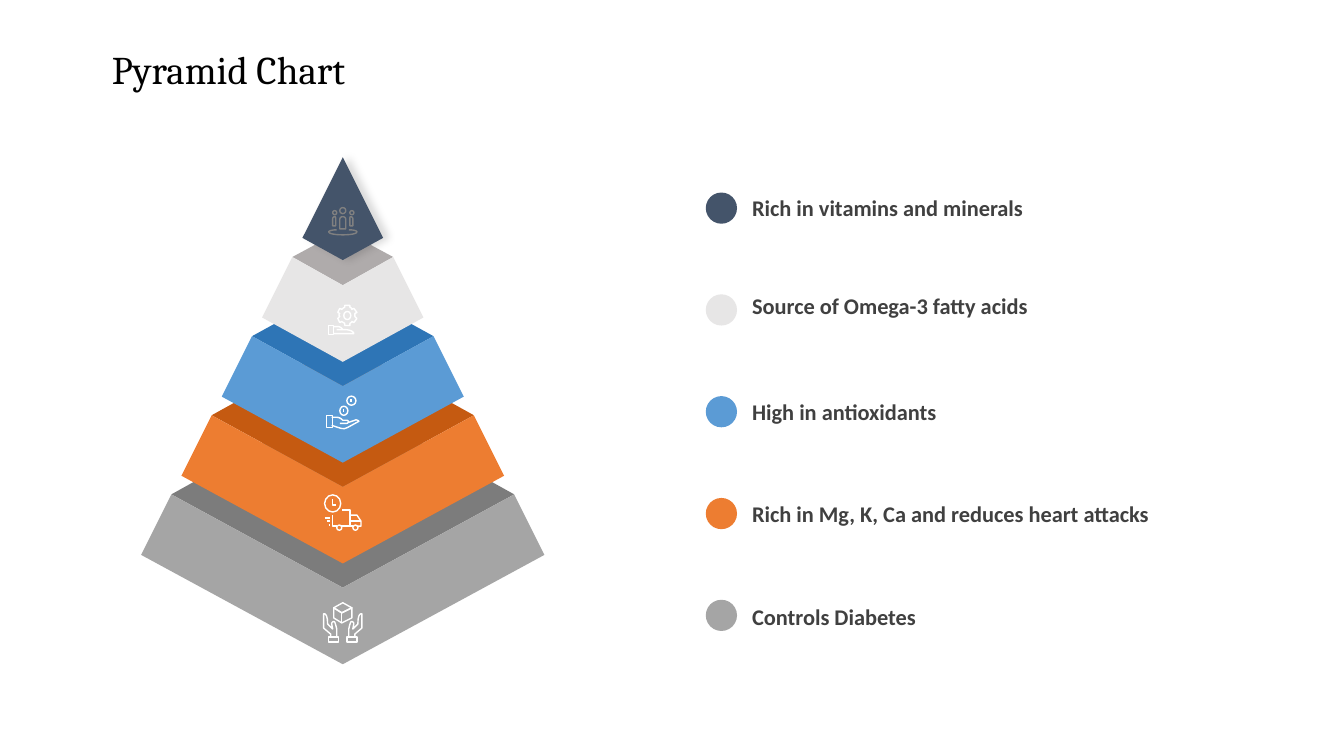
import typing

import lxml.etree
import pptx
import pptx.dml.color
import pptx.enum.shapes
import pptx.oxml
import pptx.oxml.ns
import pptx.shapes.autoshape
import pptx.shapes.shapetree
import pptx.util

Inches = pptx.util.Inches
Kind = pptx.enum.shapes.MSO_SHAPE
Tree = pptx.shapes.shapetree.SlideShapes
Shape = pptx.shapes.autoshape.Shape
Point = tuple[float, float]
Frame = tuple[float, float, float, float]

COLORS = {
    "navy": "44546A", "light": "E7E6E6", "blue": "5B9BD5", "orange": "ED7D31",
    "gray": "A5A5A5", "light lid": "AFABAB", "blue lid": "2E75B6",
    "orange lid": "C55A11", "gray lid": "7C7C7C", "text": "404040",
    "black": "000000", "white": "FFFFFF", "dim": "808080",
}
MID = 3.4


class Label(typing.NamedTuple):
    color: str
    text: str
    top: float


class Icon(typing.NamedTuple):
    color: str
    rings: list[Frame]
    boxes: list[Frame]
    strokes: list[str]
    pairs: list[str] = []


LABELS = [
    Label("navy", "Rich in vitamins and minerals", 1.93),
    Label("light", "Source of Omega-3 fatty acids", 2.9),
    Label("blue", "High in antioxidants", 3.95),
    Label("orange", "Rich in Mg, K, Ca and reduces heart attacks", 4.96),
    Label("gray", "Controls Diabetes", 5.98),
]

PEOPLE = Icon(
    "dim",
    [(3.37, 2.06, 0.06, 0.06), (3.3, 2.09, 0.04, 0.04), (3.47, 2.09, 0.04, 0.04)],
    [],
    ["M 3.46 2.28 C 3.51 2.28 3.54 2.29 3.54 2.3 C 3.54 2.32 3.48 2.33 3.4 2.33 "
     "C 3.33 2.33 3.26 2.32 3.26 2.3 C 3.26 2.29 3.3 2.28 3.34 2.28",
     "M 3.43 2.27 L 3.37 2.27 L 3.37 2.18 C 3.37 2.16 3.38 2.15 3.4 2.15 "
     "C 3.42 2.15 3.43 2.16 3.43 2.18 Z"],
    ["M 3.33 2.24 L 3.3 2.24 L 3.3 2.17 C 3.3 2.16 3.31 2.15 3.32 2.15 "
     "C 3.33 2.15 3.33 2.16 3.33 2.17 Z"],
)
GEAR = Icon(
    "white",
    [(3.41, 3.09, 0.07, 0.08)],
    [(3.26, 3.23, 0.05, 0.09)],
    ["M 3.31 3.31 L 3.51 3.31 C 3.51 3.29 3.47 3.27 3.42 3.27 L 3.34 3.27",
     "M 3.31 3.24 L 3.35 3.24 C 3.38 3.24 3.39 3.26 3.4 3.27",
     "M 3.52 3.11 L 3.54 3.1 L 3.51 3.06 L 3.49 3.07 C 3.49 3.06 3.48 3.05 3.47 3.05 "
     "L 3.47 3.03 L 3.42 3.03 L 3.42 3.05 C 3.41 3.05 3.4 3.06 3.39 3.07 "
     "L 3.37 3.06 L 3.35 3.1 L 3.37 3.11 C 3.36 3.12 3.36 3.13 3.37 3.14 "
     "L 3.35 3.16 L 3.37 3.2 L 3.39 3.19 C 3.4 3.2 3.41 3.2 3.42 3.21 "
     "L 3.42 3.23 L 3.47 3.23 L 3.47 3.21 C 3.48 3.2 3.49 3.2 3.49 3.19 "
     "L 3.51 3.2 L 3.54 3.16 L 3.52 3.14 C 3.52 3.13 3.52 3.12 3.52 3.11 Z"],
)
COINS = Icon(
    "white",
    [(3.44, 3.93, 0.09, 0.09), (3.37, 4.03, 0.08, 0.09)],
    [(3.24, 4.12, 0.06, 0.12)],
    ["M 3.29 4.22 C 3.44 4.27 3.39 4.27 3.56 4.18 C 3.55 4.17 3.53 4.16 3.52 4.17 "
     "L 3.46 4.19",
     "M 3.29 4.14 L 3.34 4.14 C 3.37 4.14 3.39 4.16 3.4 4.17 "
     "C 3.4 4.17 3.42 4.17 3.44 4.17 C 3.46 4.17 3.46 4.2 3.44 4.2 L 3.37 4.2",
     "M 3.41 4.06 L 3.41 4.09", "M 3.48 3.96 L 3.48 3.99"],
)
TRUCK = Icon(
    "white",
    [(3.22, 4.91, 0.16, 0.17), (3.5, 5.21, 0.05, 0.05), (3.34, 5.21, 0.05, 0.05)],
    [],
    ["M 3.33 5.01 L 3.3 5.01 L 3.3 4.95",
     "M 3.47 5.11 L 3.54 5.11 L 3.58 5.17 L 3.58 5.22 L 3.54 5.22",
     "M 3.38 5.22 L 3.47 5.22 L 3.47 5.06 L 3.39 5.06",
     "M 3.3 5.11 L 3.3 5.22 L 3.34 5.22",
     "M 3.22 5.14 L 3.27 5.14", "M 3.24 5.17 L 3.27 5.17", "M 3.26 5.21 L 3.27 5.21",
     "M 3.58 5.17 L 3.47 5.17", "M 3.47 5.22 L 3.5 5.22"],
)
HANDS = Icon(
    "white",
    [],
    [(3.44, 6.32, 0.1, 0.05), (3.26, 6.32, 0.1, 0.05)],
    ["M 3.39 6.08 L 3.31 6.03 L 3.31 6.13 L 3.39 6.18 L 3.49 6.13 L 3.49 6.03 Z",
     "M 3.4 5.98 L 3.31 6.03 L 3.39 6.08 L 3.49 6.03 Z",
     "M 3.39 6.08 L 3.39 6.18"],
    ["M 3.52 6.32 L 3.52 6.29 C 3.52 6.29 3.58 6.24 3.59 6.23 "
     "C 3.59 6.2 3.59 6.09 3.59 6.09 C 3.59 6.09 3.55 6.07 3.55 6.19 "
     "L 3.5 6.24 L 3.51 6.19 C 3.51 6.17 3.49 6.16 3.48 6.17 "
     "C 3.47 6.19 3.46 6.24 3.46 6.24 L 3.46 6.32"],
)


def tint(name: str) -> pptx.dml.color.RGBColor:
    return pptx.dml.color.RGBColor.from_string(COLORS[name])


def paint(shape: Shape, fill: str | None, line: str | None = None) -> Shape:
    shape.shadow.inherit = False
    if fill:
        shape.fill.solid()
        shape.fill.fore_color.rgb = tint(fill)
    else:
        shape.fill.background()
    if line:
        shape.line.color.rgb = tint(line)
        shape.line.width = pptx.util.Pt(1)
    else:
        shape.line.fill.background()
    return shape


def outline(tree: Tree, points: list[Point], close: bool = True) -> Shape:
    spots = [(Inches(x), Inches(y)) for x, y in points]
    draft = tree.build_freeform(*spots[0], scale=1.0)
    draft.add_line_segments(spots[1:], close=close)
    return draft.convert_to_shape()


def trace(code: str) -> list[Point]:
    points: list[Point] = []
    words = iter(code.split())
    for word in words:
        if word in "ML":
            points.append((float(next(words)), float(next(words))))
        elif word == "C":
            knots = [points[-1]] + [(float(next(words)), float(next(words))) for _ in range(3)]
            for step in range(1, 7):
                t = step / 6
                parts = ((1 - t) ** 3, 3 * t * (1 - t) ** 2, 3 * t * t * (1 - t), t ** 3)
                points.append((sum(p * k[0] for p, k in zip(parts, knots)),
                               sum(p * k[1] for p, k in zip(parts, knots))))
    return points


def add_stroke(tree: Tree, points: list[Point], color: str, close: bool) -> None:
    if len(points) > 2:
        paint(outline(tree, points, close), None, color)
        return
    ends = [Inches(n) for point in points for n in point]
    line = tree.add_connector(pptx.enum.shapes.MSO_CONNECTOR.STRAIGHT, *ends)
    line.line.color.rgb = tint(color)
    line.line.width = pptx.util.Pt(1)
    lxml.etree.SubElement(line._element.spPr, pptx.oxml.ns.qn("a:effectLst"))


def add_icon(tree: Tree, icon: Icon) -> None:
    for kind, frames in ((Kind.OVAL, icon.rings), (Kind.RECTANGLE, icon.boxes)):
        for frame in frames:
            paint(tree.add_shape(kind, *map(Inches, frame)), None, icon.color)
    for code in icon.strokes + icon.pairs:
        add_stroke(tree, trace(code), icon.color, code.endswith("Z"))
    for code in icon.pairs:
        twin = [(2 * MID - x, y) for x, y in trace(code)]
        add_stroke(tree, twin, icon.color, code.endswith("Z"))


def add_tier(tree: Tree, rank: int, color: str) -> None:
    half = 0.5 + 0.4 * rank
    edge = 2.55 + 0.785 * rank
    notch = (MID, 2.83 + rank)
    left, right = (MID - half, edge), (MID + half, edge)
    lid = [left, notch, right, (MID, 2.28 + 0.56 * rank)]
    front = [notch, left, (left[0] - 0.3, edge + 0.6), (MID, 3.59 + rank),
             (right[0] + 0.3, edge + 0.6), right]
    paint(outline(tree, lid), color + " lid")
    paint(outline(tree, front), color)


def add_peak(tree: Tree) -> None:
    peak = paint(outline(tree, [(MID, 2.58), (3.8, 2.36), (MID, 1.56), (3, 2.36)]), "navy")
    glow = peak._element.spPr.find(pptx.oxml.ns.qn("a:effectLst"))
    glow.append(pptx.oxml.parse_xml(
        f'<a:outerShdw {pptx.oxml.ns.nsdecls("a")} blurRad="76200" dist="50800" dir="0">'
        f'<a:srgbClr val="{COLORS["black"]}"><a:alpha val="15000"/></a:srgbClr></a:outerShdw>'))


def add_text(tree: Tree, frame: Frame, text: str, font: str, size: int,
             color: str, bold: bool = False) -> None:
    body = tree.add_textbox(*map(Inches, frame)).text_frame
    body.word_wrap = True
    body.margin_left = body.margin_right = body.margin_top = body.margin_bottom = 0
    line = body.paragraphs[0]
    line.text = text
    line.font.name, line.font.size, line.font.bold = font, pptx.util.Pt(size), bold
    line.font.color.rgb = tint(color)


def main() -> None:
    deck = pptx.Presentation()
    deck.slide_width, deck.slide_height = Inches(13.33), Inches(7.5)
    tree = deck.slides.add_slide(deck.slide_layouts[6]).shapes
    add_text(tree, (1.11, 0.45, 4.5, 0.5), "Pyramid Chart", "Cambria", 28, "black")
    for rank in range(3, -1, -1):
        add_tier(tree, rank, LABELS[rank + 1].color)
    add_peak(tree)
    for icon in (PEOPLE, GEAR, COINS, TRUCK, HANDS):
        add_icon(tree, icon)
    for row, label in enumerate(LABELS):
        frame = (7, 1.91 + 1.01 * row, 0.31, 0.31)
        paint(tree.add_shape(Kind.OVAL, *map(Inches, frame)), label.color)
        add_text(tree, (7.46, label.top, 5.26, 0.27), label.text, "Calibri", 16, "text", True)
    deck.save("out.pptx")


if __name__ == "__main__":
    main()
